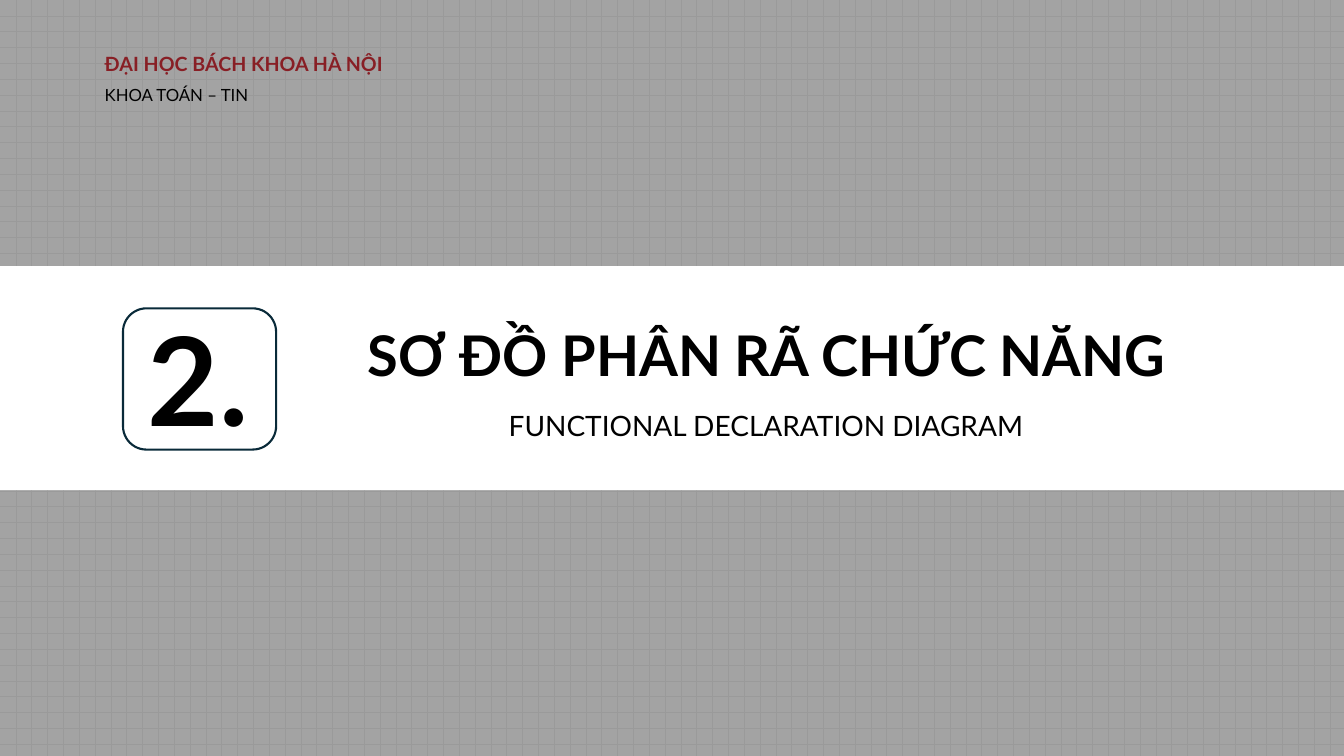
"""Build the section slide for the functional decomposition diagram."""
from dataclasses import dataclass

from lxml import etree
from pptx import Presentation
from pptx.dml.color import RGBColor
from pptx.enum.dml import MSO_PATTERN
from pptx.enum.shapes import MSO_SHAPE
from pptx.enum.text import MSO_ANCHOR, MSO_AUTO_SIZE, PP_ALIGN
from pptx.oxml.ns import qn
from pptx.util import Cm, Pt

RECT = MSO_SHAPE.RECTANGLE
ROUND = MSO_SHAPE.ROUNDED_RECTANGLE
GRID = MSO_PATTERN.DOTTED_GRID
TOP = MSO_ANCHOR.TOP
GROW = MSO_AUTO_SIZE.SHAPE_TO_FIT_TEXT
LEFT = PP_ALIGN.LEFT
MID = PP_ALIGN.CENTER
WIDE, HIGH = 33.87, 19.05


@dataclass(frozen=True)
class Theme:
    font: str = "Lato"
    black: str = "000000"
    white: str = "FFFFFF"
    dots: str = "F2F2F2"
    red: str = "D6313B"
    navy: str = "092A39"
    small: int = 12
    head: int = 14
    sub: int = 20
    title: int = 40
    number: int = 88


class Deck:
    def __init__(self, theme):
        self.theme = theme
        self.file = Presentation()
        self.file.slide_width, self.file.slide_height = Cm(WIDE), Cm(HIGH)
        self.slide = self.file.slides.add_slide(self.file.slide_layouts[0])

    def back(self):
        fill = self.slide.background.fill
        fill.patterned()
        fill.pattern = GRID
        fill.fore_color.rgb = RGBColor.from_string(self.theme.dots)
        fill.back_color.rgb = RGBColor.from_string(self.theme.white)

    def block(self, kind, area, color, alpha=None, line=None):
        shape = self.slide.shapes.add_shape(kind, *map(Cm, area))
        shape.shadow.inherit = False
        shape.fill.solid()
        shape.fill.fore_color.rgb = RGBColor.from_string(color)
        if alpha is not None:
            tint = shape.element.spPr.find(".//" + qn("a:srgbClr"))
            etree.SubElement(tint, qn("a:alpha"), val=str(alpha * 1000))
        if line:
            shape.line.color.rgb = RGBColor.from_string(line)
            shape.line.width = Pt(1.5)
        else:
            shape.line.fill.background()

    def words(self, shape, text, size, color, bold, align):
        frame = shape.text_frame
        frame.word_wrap = True
        frame.auto_size = GROW
        frame.vertical_anchor = TOP
        para = frame.paragraphs[0]
        para.alignment = align
        para.space_before = Pt(0)
        run = para.add_run()
        run.text = text
        run.font.name = self.theme.font
        run.font.size = Pt(size)
        run.font.bold = bold
        run.font.color.rgb = RGBColor.from_string(color)

    def label(self, area, text, size, color, bold=False):
        box = self.slide.shapes.add_textbox(*map(Cm, area))
        self.words(box, text, size, color, bold, LEFT)

    def holder(self, index, area, text, size, bold=False):
        box = self.slide.placeholders[index]
        box.left, box.top, box.width, box.height = map(Cm, area)
        box.element.getparent().append(box.element)
        self.words(box, text, size, self.theme.black, bold, MID)


def main():
    theme = Theme()
    deck = Deck(theme)
    deck.back()
    deck.label((2.39, 1.19, 10.95, 0.86), "ĐẠI HỌC BÁCH KHOA HÀ NỘI",
               theme.head, theme.red, True)
    deck.label((2.39, 2.01, 9.96, 0.76), "KHOA TOÁN – TIN",
               theme.small, theme.black)
    deck.block(RECT, (0, 0, WIDE, HIGH), theme.black, alpha=36)
    deck.block(RECT, (0, 6.71, WIDE, 5.64), theme.white)
    deck.holder(0, (7.87, 7.95, 22.89, 1.96), "SƠ ĐỒ PHÂN RÃ CHỨC NĂNG",
                theme.title, True)
    deck.holder(1, (11.28, 10.16, 16.05, 1.12),
                "FUNCTIONAL DECLARATION DIAGRAM", theme.sub)
    deck.block(ROUND, (3.1, 7.77, 3.86, 3.56), theme.white, line=theme.navy)
    deck.label((3.48, 7.52, 4.06, 4.01), "2.", theme.number, theme.black, True)
    deck.file.save("out.pptx")


if __name__ == "__main__":
    main()
